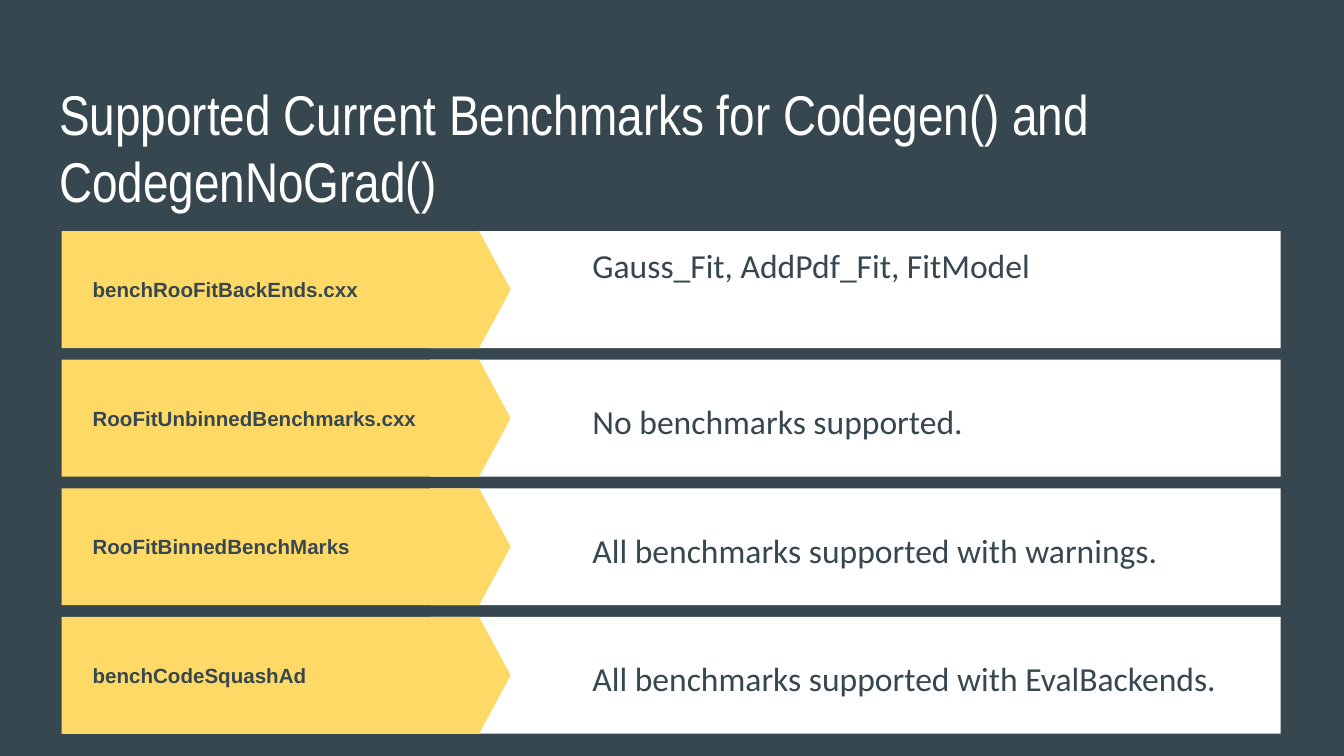
from pptx import Presentation
from pptx.dml.color import RGBColor
from pptx.enum.shapes import MSO_SHAPE
from pptx.enum.text import MSO_ANCHOR, PP_ALIGN
from pptx.util import Inches, Pt

SLATE = RGBColor(0x37, 0x47, 0x4F)
GOLD = RGBColor(0xFF, 0xD9, 0x66)
WHITE = RGBColor(0xFF, 0xFF, 0xFF)
RECT, ARROW = MSO_SHAPE.RECTANGLE, MSO_SHAPE.PENTAGON
TOP, MIDDLE = MSO_ANCHOR.TOP, MSO_ANCHOR.MIDDLE
LEFT = PP_ALIGN.LEFT

ROWS = [
    ("benchRooFitBackEnds.cxx", "Gauss_Fit, AddPdf_Fit, FitModel", TOP, 1),
    ("RooFitUnbinnedBenchmarks.cxx", "No benchmarks supported.", MIDDLE, 1.15),
    ("RooFitBinnedBenchMarks", "All benchmarks supported with warnings.", MIDDLE, 1.15),
    ("benchCodeSquashAd", "All benchmarks supported with EvalBackends.", MIDDLE, 1.15),
]
FIRST, LAST, HEIGHT = 1.72, 4.59, 0.87
STEP = (LAST - FIRST) / (len(ROWS) - 1)


def write(shape, text, font, size, color, bold=False, anchor=MIDDLE,
          spacing=1, indent=0):
    frame = shape.text_frame
    frame.word_wrap = True
    frame.vertical_anchor = anchor
    frame.margin_left = frame.margin_right = Inches(0.1)
    frame.margin_top = frame.margin_bottom = Inches(0.1)
    para = frame.paragraphs[0]
    para.alignment = LEFT
    para.line_spacing = spacing
    para.space_before = Pt(0)
    props = para._p.get_or_add_pPr()
    props.set("marL", str(Inches(indent)))
    props.set("indent", "0")
    run = para.add_run()
    run.text = text
    run.font.name = font
    run.font.size = Pt(size)
    run.font.bold = bold
    run.font.color.rgb = color


def block(group, kind, left, top, width, color):
    shape = group.shapes.add_shape(
        kind, Inches(left), Inches(top), Inches(width), Inches(HEIGHT))
    shape.shadow.inherit = False
    shape.fill.solid()
    shape.fill.fore_color.rgb = color
    shape.line.fill.background()
    return shape


deck = Presentation()
deck.slide_width = Inches(10)
deck.slide_height = Inches(10 * 9 / 16)
slide = deck.slides.add_slide(deck.slide_layouts[5])
slide.background.fill.solid()
slide.background.fill.fore_color.rgb = SLATE

title = slide.shapes.title
title.left, title.top = Inches(0.34), Inches(0.49)
title.width, title.height = Inches(9.32), Inches(0.63)
write(title, "Supported Current Benchmarks for Codegen() and CodegenNoGrad()",
      "Arial Narrow", 30, WHITE, anchor=TOP)

for i, (file, note, anchor, spacing) in enumerate(ROWS):
    top = FIRST + i * STEP
    band = slide.shapes.add_group_shape()
    block(band, RECT, 3.2, top, 6.33, WHITE)
    arrow = block(band, ARROW, 0.46, top, 3.34, GOLD)
    arrow.adjustments[0] = 0.27

    label = slide.shapes.add_textbox(
        Inches(0.59), Inches(top), Inches(2.65), Inches(HEIGHT))
    write(label, file, "Arial", 11, SLATE, bold=True)

    status = slide.shapes.add_textbox(
        Inches(3.81), Inches(top), Inches(5.59), Inches(HEIGHT))
    write(status, note, "Calibri", 18, SLATE, anchor=anchor,
          spacing=spacing, indent=0.5)

deck.save("out.pptx")
